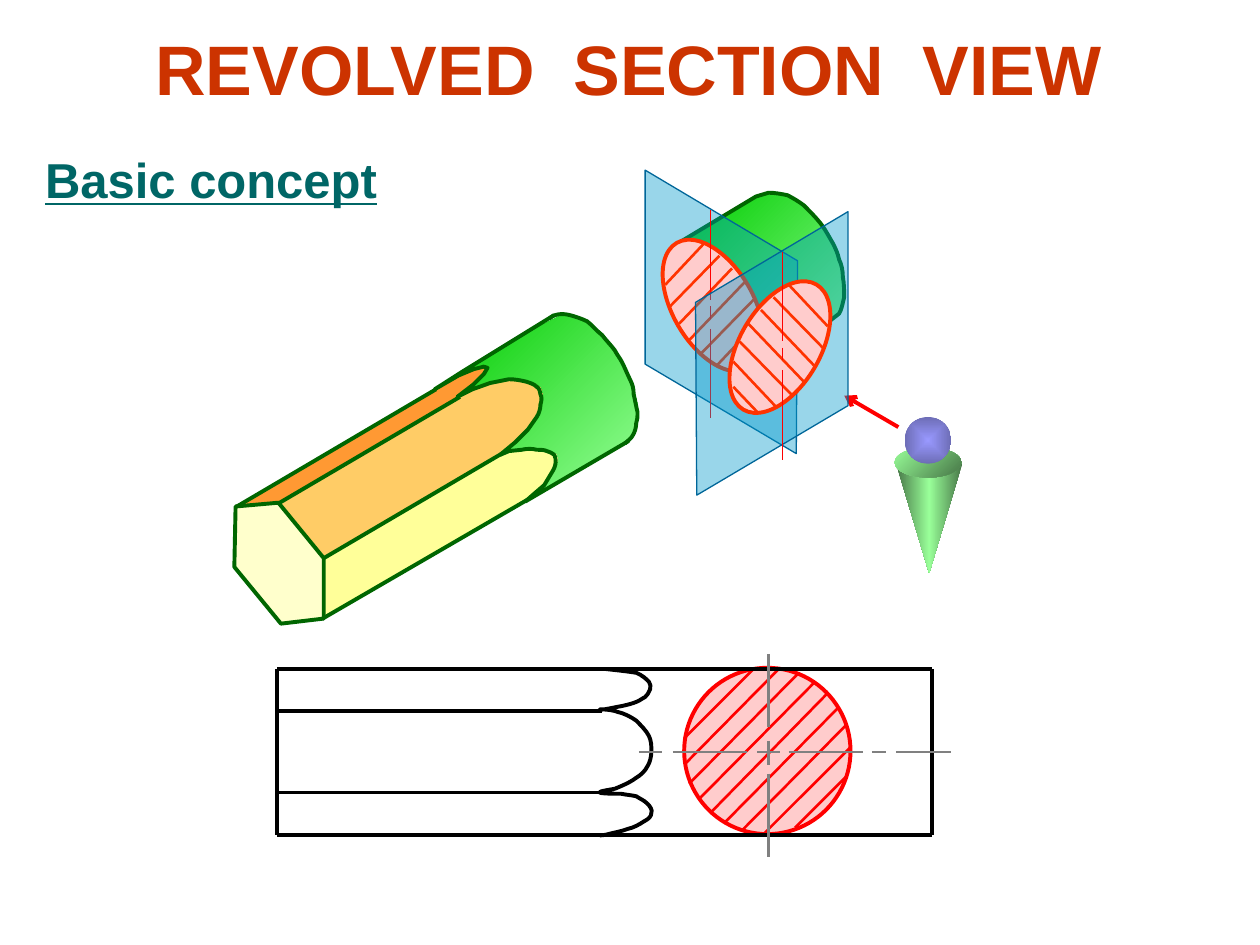
from pptx import Presentation
from pptx.dml.color import RGBColor
from pptx.enum.shapes import MSO_CONNECTOR, MSO_SHAPE
from pptx.enum.text import MSO_ANCHOR, MSO_AUTO_SIZE, PP_ALIGN
from pptx.oxml import parse_xml
from pptx.oxml.ns import nsdecls, qn
from pptx.util import Inches, Pt

STRAIGHT = MSO_CONNECTOR.STRAIGHT
ELLIPSE = MSO_SHAPE.OVAL
TRIANGLE = MSO_SHAPE.ISOSCELES_TRIANGLE

COLORS = {
    "title": "CC3300", "heading": "006666", "edge": "006600",
    "green": "00CC00", "light green": "99FF99", "dark green": "477647",
    "plane": "0099CC", "plane edge": "006699", "pink": "FFCCCC",
    "orange red": "FF3300", "red": "FF0000", "gray": "808080", "black": "000000",
    "dark wood": "FF9933", "wood": "FFCC66", "light wood": "FFFF99", "end": "FFFFCC",
    "head": "9999FF", "head edge": "6D6DB6",
}
RGB = {name: RGBColor.from_string(value) for name, value in COLORS.items()}

presentation = Presentation()
presentation.slide_width, presentation.slide_height = Inches(10), Inches(7.5)
slide = presentation.slides.add_slide(presentation.slide_layouts[6])
shapes = slide.shapes


def draw_lines(segments, color, width):
    """Draw (x1, y1, x2, y2) segments and return the last connector."""
    for segment in segments:
        connector = shapes.add_connector(STRAIGHT, *map(Inches, segment))
        connector.line.color.rgb = RGB[color]
        connector.line.width = Pt(width)
        connector._element.spPr.append(parse_xml(f"<a:effectLst {nsdecls('a')}/>"))
    return connector


def draw_outline(steps, fill=None, line=None, width=2.25, close=True):
    """Draw points (pairs) and Bezier curves (six numbers); two fills make a gradient."""
    points = [(Inches(step[-2]), Inches(step[-1])) for step in steps]
    builder = shapes.build_freeform(*points[0])
    builder.add_line_segments(points[1:], close=close)
    shape = builder.convert_to_shape()
    # Turn the straight segments of curve steps into cubic curves
    geometry = shape._element.spPr.find(".//" + qn("a:path"))
    for segment, step in zip(list(geometry), steps):
        if len(step) == 6:
            pairs = "".join(f'<a:pt x="{Inches(x) - shape.left}" y="{Inches(y) - shape.top}"/>'
                            for x, y in zip(step[::2], step[1::2]))
            curve = parse_xml(f"<a:cubicBezTo {nsdecls('a')}>{pairs}</a:cubicBezTo>")
            geometry.replace(segment, curve)
    shape.shadow.inherit = False
    if fill is None:
        shape.fill.background()
    elif isinstance(fill, tuple):
        shape.fill.gradient()
        shape.fill.gradient_angle = 315
        for stop, color, position in zip(shape.fill.gradient_stops, fill, (0, 1)):
            stop.color.rgb, stop.position = RGB[color], position
    else:
        shape.fill.solid()
        shape.fill.fore_color.rgb = RGB[fill]
    if line:
        shape.line.color.rgb = RGB[line]
        shape.line.width = Pt(width)
    else:
        shape.line.fill.background()
    return shape


# Title and heading
for text, box, size, color in (
        ("REVOLVED  SECTION  VIEW", (0.49, 0.13, 9, 0.81), 40, "title"),
        ("Basic concept", (0.26, 1.14, 2.84, 0.57), 28, "heading")):
    text_box = shapes.add_textbox(*map(Inches, box))
    frame = text_box.text_frame
    paragraph = frame.paragraphs[0]
    paragraph.text = text
    paragraph.font.name, paragraph.font.size = "Arial", Pt(size)
    paragraph.font.bold = True
    paragraph.font.color.rgb = RGB[color]
    if color == "title":
        frame.word_wrap = True
        frame.vertical_anchor = MSO_ANCHOR.MIDDLE
        paragraph.alignment = PP_ALIGN.CENTER
    else:
        frame.word_wrap = False
        frame.auto_size = MSO_AUTO_SIZE.SHAPE_TO_FIT_TEXT
        paragraph.font.underline = True

# Cut-off rear part of the cylinder
draw_outline([
    (5.96, 2.93), (6.57, 2.56), (6.66, 2.49), (6.68, 2.46, 6.69, 2.4, 6.7, 2.36),
    (6.7, 2.31, 6.7, 2.25, 6.69, 2.2), (6.69, 2.15, 6.68, 2.1, 6.66, 2.06),
    (6.65, 2.01, 6.63, 1.97, 6.61, 1.93), (6.58, 1.88, 6.55, 1.82, 6.51, 1.77),
    (6.47, 1.72, 6.42, 1.67, 6.38, 1.63), (6.34, 1.6, 6.29, 1.57, 6.25, 1.55),
    (6.2, 1.54, 6.15, 1.53, 6.1, 1.53), (6, 1.56), (5.4, 1.92),
], ("green", "light green"), "edge", close=False)

# Side view: revolved section with hatching
circle = shapes.add_shape(ELLIPSE, Inches(5.43), Inches(5.3), Inches(1.32), Inches(1.32))
circle.shadow.inherit = False
circle.fill.solid()
circle.fill.fore_color.rgb = RGB["pink"]
circle.line.color.rgb = RGB["red"]
circle.line.width = Pt(2.25)
draw_lines([
    (6.31, 6.57, 6.72, 6.16), (6.06, 6.62, 6.75, 5.93), (5.89, 6.59, 6.71, 5.76),
    (5.75, 6.53, 6.65, 5.62), (5.64, 6.45, 6.57, 5.5), (5.55, 6.34, 6.46, 5.42),
    (5.44, 6.06, 6.18, 5.31), (5.47, 6.22, 6.33, 5.35), (5.43, 5.86, 5.97, 5.32),
], "red", 1.5)

# Side view: edges, scalloped grip and center lines
draw_lines([(2.2, y, right, y) for y, right in
            ((5.31, 7.4), (5.64, 4.78), (6.29, 4.78), (6.63, 7.4))], "black", 2.25)
draw_lines([(x, 5.31, x, 6.63) for x in (2.2, 7.4)], "black", 2.25)
draw_outline([
    (4.81, 5.31), (4.9, 5.32, 4.99, 5.33, 5.05, 5.34), (5.1, 5.36, 5.13, 5.39, 5.15, 5.41),
    (5.16, 5.43, 5.17, 5.45, 5.16, 5.47), (5.15, 5.49, 5.14, 5.53, 5.09, 5.55),
    (5.05, 5.58, 4.96, 5.6, 4.9, 5.61), (4.85, 5.62, 4.76, 5.64, 4.76, 5.63),
    (4.76, 5.63, 4.85, 5.63, 4.9, 5.65), (4.95, 5.66, 5.01, 5.69, 5.05, 5.72),
    (5.09, 5.76, 5.13, 5.8, 5.15, 5.84), (5.17, 5.88, 5.17, 5.92, 5.17, 5.96),
    (5.17, 6, 5.16, 6.05, 5.14, 6.08), (5.12, 6.12, 5.09, 6.15, 5.04, 6.18),
    (5, 6.21, 4.93, 6.24, 4.88, 6.26), (4.83, 6.27, 4.75, 6.28, 4.76, 6.29),
    (4.77, 6.3, 4.89, 6.3, 4.93, 6.3), (4.98, 6.31, 5.01, 6.31, 5.05, 6.32),
    (5.08, 6.34, 5.11, 6.35, 5.14, 6.38), (5.16, 6.4, 5.18, 6.43, 5.17, 6.45),
    (5.17, 6.48, 5.15, 6.5, 5.11, 6.52), (5.08, 6.54, 5.03, 6.57, 4.98, 6.58),
    (4.93, 6.6, 4.86, 6.61, 4.83, 6.62), (4.79, 6.63, 4.77, 6.63, 4.76, 6.63),
], line="black", close=False)
draw_lines([(6.1, top, 6.1, bottom) for top, bottom in
            ((5.19, 5.77), (5.88, 6.07), (6.14, 6.8))], "gray", 1.5)
draw_lines([(left, 5.97, right, 5.97) for left, right in
            ((5.07, 5.25), (5.34, 5.93), (6.01, 6.19), (6.26, 6.85), (6.92, 7.03),
             (7.11, 7.55))], "gray", 1.5)

# Observer and viewing direction
linear = '<a:lin ang="{}" scaled="0"/>'
centered = ('<a:path path="shape"><a:fillToRect l="50000" t="50000" r="50000" b="50000"/>'
            '</a:path>')
for kind, box, stops, direction in (
        (TRIANGLE, (7.11, 3.67, 0.53, 0.88), ("dark green", "light green", "dark green"),
         linear.format(0)),
        (ELLIPSE, (7.1, 3.55, 0.53, 0.24), ("light green", "dark green"),
         linear.format(45 * 60000)),
        (ELLIPSE, (7.18, 3.31, 0.37, 0.37), ("head", "head edge"), centered)):
    body = shapes.add_shape(kind, *map(Inches, box))
    body.shadow.inherit = False
    body.line.fill.background()
    stop_xml = "".join(
        f'<a:gs pos="{100000 * index // (len(stops) - 1)}"><a:srgbClr val="{COLORS[stop]}"/></a:gs>'
        for index, stop in enumerate(stops))
    properties = body._element.spPr
    properties.insert(2, parse_xml(f"<a:gradFill {nsdecls('a')}><a:gsLst>{stop_xml}</a:gsLst>"
                                   f"{direction}</a:gradFill>"))
    if kind == TRIANGLE:
        properties.find(qn("a:xfrm")).set("flipV", "1")
arrow = draw_lines([(7.13, 3.39, 6.7, 3.14)], "red", 2.25)
arrow.line._get_or_add_ln().append(parse_xml(f'<a:tailEnd {nsdecls("a")} type="arrow"/>'))

# Hexagonal part: three side faces, end face and long edges
draw_outline([(2.22, 3.99), (3.86, 3.02), (3.9, 2.9), (3.8, 2.88), (3.54, 3.03),
              (1.88, 4.01)], "dark wood")
draw_outline([(2.57, 4.43), (4.25, 3.44), (4.32, 3.19), (4.32, 3.04), (4.14, 2.99),
              (3.89, 3.01), (3.7, 3.11), (2.22, 3.99)], "wood")
draw_outline([(2.57, 4.9), (4.36, 3.87), (4.45, 3.62), (4.36, 3.53), (4.09, 3.54),
              (2.56, 4.44)], "light wood")
draw_outline([(1.86, 4.5), (2.23, 4.95), (2.57, 4.91), (2.57, 4.43), (2.21, 3.99),
              (1.87, 4.02)], "end", "edge")
draw_lines([(2.56, 4.91, 4.18, 3.97), (2.57, 4.43, 4, 3.59), (2.22, 3.99, 3.65, 3.15),
            (1.88, 4.02, 3.46, 3.09)], "edge", 2.25)

# Front part of the cylinder with its scalloped edge and rear arc
scallops = [
    (3.47, 3.08), (3.66, 2.97), (3.78, 2.92), (3.86, 2.9), (3.89, 2.91), (3.86, 2.96),
    (3.78, 3.04), (3.65, 3.14), (3.77, 3.08), (3.91, 3.03),
    (3.96, 3.02, 4.01, 3.01, 4.06, 3), (4.11, 3, 4.16, 3.01, 4.2, 3.02),
    (4.23, 3.03, 4.26, 3.04, 4.28, 3.06), (4.3, 3.07, 4.31, 3.1, 4.31, 3.12),
    (4.32, 3.14, 4.32, 3.17, 4.31, 3.2), (4.31, 3.23, 4.3, 3.27, 4.28, 3.3),
    (4.21, 3.4), (4.11, 3.5), (3.99, 3.6), (4.06, 3.57), (4.16, 3.56),
    (4.2, 3.55, 4.25, 3.55, 4.28, 3.56), (4.31, 3.56, 4.34, 3.56, 4.36, 3.57),
    (4.38, 3.57, 4.4, 3.59, 4.42, 3.6), (4.43, 3.62, 4.43, 3.63, 4.43, 3.66),
    (4.43, 3.68, 4.42, 3.71, 4.4, 3.74), (4.34, 3.84), (4.27, 3.9), (4.19, 3.97),
]
scallop_line = [tuple(value + (-0.02, 0.01)[index % 2] for index, value in enumerate(step))
                for step in scallops]
draw_outline(scallops + [
    (4.54, 3.77), (4.93, 3.54), (5.02, 3.45), (5.05, 3.36),
    (5.06, 3.32, 5.06, 3.27, 5.06, 3.22), (5.05, 3.17, 5.04, 3.12, 5.02, 3.07),
    (5, 3.01, 4.98, 2.94, 4.95, 2.89), (4.92, 2.84, 4.89, 2.8, 4.86, 2.76),
    (4.83, 2.72, 4.8, 2.68, 4.77, 2.64), (4.73, 2.61, 4.7, 2.57, 4.65, 2.55),
    (4.6, 2.52, 4.51, 2.49, 4.46, 2.5), (4.32, 2.57), (3.68, 2.94),
], ("green", "light green"))
draw_outline([(4.4, 2.5), (3.67, 2.95)] + scallop_line + [(4.99, 3.5)],
             line="edge", close=False)
draw_outline([
    (4.36, 2.53), (4.37, 2.52, 4.38, 2.51, 4.41, 2.5), (4.44, 2.49, 4.48, 2.49, 4.52, 2.5),
    (4.56, 2.51, 4.62, 2.53, 4.66, 2.55), (4.7, 2.58, 4.74, 2.63, 4.78, 2.66),
    (4.81, 2.7, 4.85, 2.74, 4.88, 2.78), (4.9, 2.82, 4.92, 2.84, 4.94, 2.88),
    (4.96, 2.92, 4.98, 2.97, 5, 3.01), (5.02, 3.05, 5.03, 3.08, 5.03, 3.13),
    (5.04, 3.17, 5.05, 3.23, 5.06, 3.27), (5.06, 3.31, 5.06, 3.33, 5.05, 3.36),
    (5.05, 3.39, 5.04, 3.43, 5.02, 3.46), (5.01, 3.48, 4.98, 3.5, 4.96, 3.52),
], line="edge", close=False)

# Cutting plane and the same plane revolved: mirrored and moved down
hatching = [(5.31, 2.44, 5.71, 2.03), (5.39, 2.57, 5.81, 2.13), (5.46, 2.71, 5.91, 2.24),
            (5.57, 2.8, 5.98, 2.38), (5.83, 2.95, 6.03, 2.74), (5.28, 2.26, 5.59, 1.93),
            (5.69, 2.9, 6.03, 2.54)]
axis = [(5.64, 1.67, 5.64, 2.38), (5.64, 2.43, 5.64, 2.53), (5.64, 2.61, 5.64, 3.32)]
corners = [(6.32, 3.6), (5.12, 2.89), (5.12, 1.35), (6.33, 2.07)]
for sign, shift, drop, angle in ((1, 0, 0, 329.8), (-1, 11.85, 0.33, 30.2)):
    plane = draw_outline([(shift + sign * x, y + drop) for x, y in corners],
                         "plane", "plane edge", 0.75)
    plane_color = plane._element.spPr.find(qn("a:solidFill"))[0]
    plane_color.append(parse_xml(f'<a:alpha {nsdecls("a")} val="40000"/>'))
    section = shapes.add_shape(ELLIPSE, Inches(shift + sign * 5.66 - 0.32),
                               Inches(1.85 + drop), Inches(0.64), Inches(1.15))
    section.rotation = angle
    section.shadow.inherit = False
    section.fill.solid()
    section.fill.fore_color.rgb = RGB["pink"]
    section.line.color.rgb = RGB["orange red"]
    section.line.width = Pt(2.25)
    for segments, color, width in ((hatching, "orange red", 1.5), (axis, "red", 1)):
        draw_lines([(shift + sign * x1, y1 + drop, shift + sign * x2, y2 + drop)
                    for x1, y1, x2, y2 in segments], color, width)

presentation.save("out.pptx")
